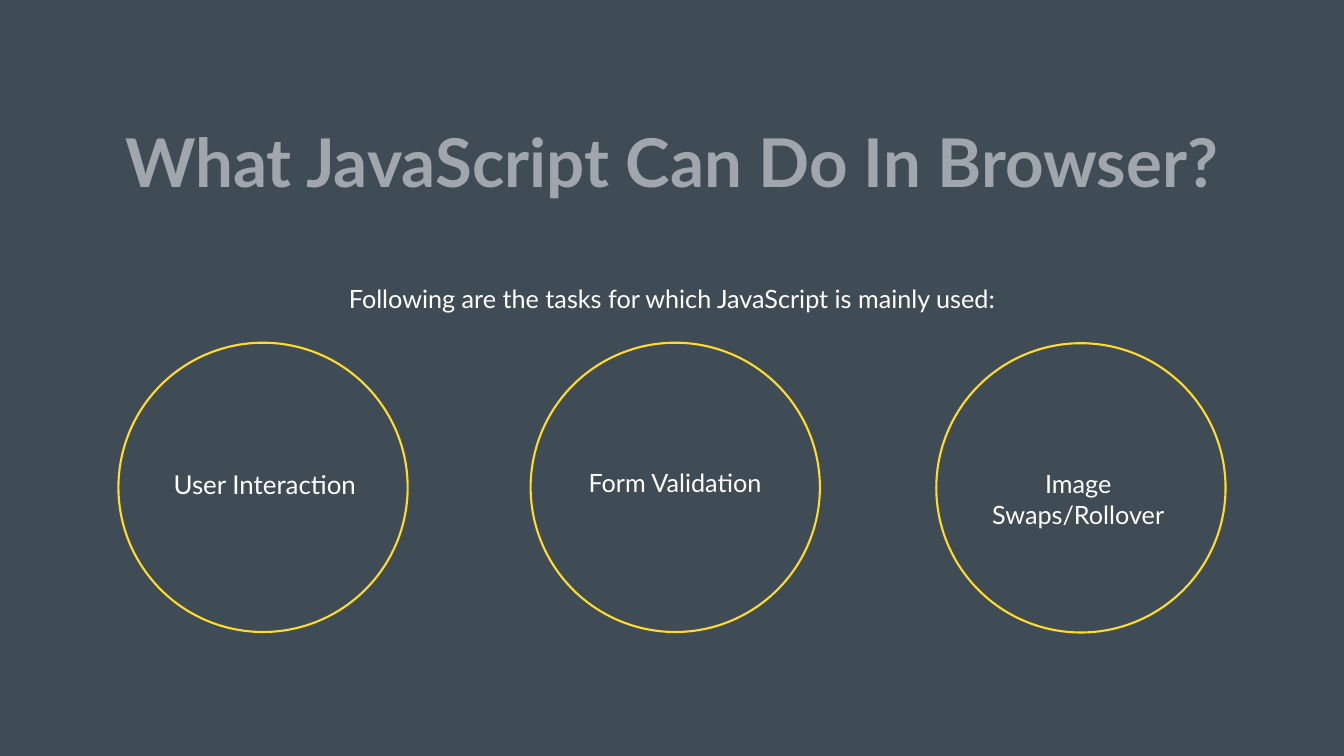
from pptx import Presentation
from pptx.dml.color import RGBColor
from pptx.enum.shapes import MSO_SHAPE
from pptx.enum.text import MSO_ANCHOR, MSO_AUTO_SIZE, PP_ALIGN
from pptx.util import Pt

EMU_PER_PX = 9144  # 100 px to the inch
SLIDE_WIDTH, SLIDE_HEIGHT = 2667, 1500
CIRCLE_SIZE = 574

BACKGROUND = "404C55"
TITLE_GREY = "A1A6AC"
WHITE = "FFFFFF"
YELLOW = "FFDB2C"

# circle left and top, label left, top and height, text, size, line spacing
TASKS = [
    ((235, 680), (301, 924, 63), "User Interaction", 37, 1.1),
    ((1053, 680), (1115, 927, 61), "Form Validation", 36, 1.0),
    ((1858, 681), (1915, 930, 121), "Image Swaps/Rollover", 36, 1.0),
]
LABEL_WIDTH = 449


def px(*lengths):
    return [length * EMU_PER_PX for length in lengths]


def color(value):
    return RGBColor.from_string(value)


class SlideBuilder:
    """Holds the style and the current slide."""

    font_name = "Lato"
    line_width = Pt(3)

    def __init__(self, slide):
        self.slide = slide

    def background(self, fill_color):
        fill = self.slide.background.fill
        fill.solid()
        fill.fore_color.rgb = color(fill_color)

    def text(self, box, content, size, text_color=WHITE, bold=False,
             margin=0, anchor=MSO_ANCHOR.TOP, line_spacing=1.0):
        frame = self.slide.shapes.add_textbox(*px(*box)).text_frame
        frame.word_wrap = True
        frame.auto_size = MSO_AUTO_SIZE.SHAPE_TO_FIT_TEXT
        frame.vertical_anchor = anchor
        frame.margin_left, frame.margin_top = px(margin, margin)
        frame.margin_right, frame.margin_bottom = px(margin, margin)
        paragraph = frame.paragraphs[0]
        paragraph.text = content
        paragraph.alignment = PP_ALIGN.CENTER
        paragraph.line_spacing = line_spacing
        paragraph.font.name = self.font_name
        paragraph.font.size = Pt(size)
        paragraph.font.bold = bold
        paragraph.font.color.rgb = color(text_color)

    def circle(self, left, top, size, line_color):
        shape = self.slide.shapes.add_shape(
            MSO_SHAPE.OVAL, *px(left, top, size, size))
        shape.shadow.inherit = False
        shape.fill.background()
        shape.line.color.rgb = color(line_color)
        shape.line.width = self.line_width


def main():
    presentation = Presentation()
    presentation.slide_width, presentation.slide_height = px(
        SLIDE_WIDTH, SLIDE_HEIGHT)
    builder = SlideBuilder(
        presentation.slides.add_slide(presentation.slide_layouts[6]))

    builder.background(BACKGROUND)
    builder.text((235, 149, 2196, 339), "What JavaScript Can Do In Browser?",
                 96, TITLE_GREY, bold=True, margin=8, anchor=MSO_ANCHOR.MIDDLE)
    builder.text((345, 554, 1977, 77),
                 "Following are the tasks for which JavaScript is mainly used:",
                 36, margin=8, anchor=MSO_ANCHOR.MIDDLE)
    for circle_at, (left, top, height), label, size, spacing in TASKS:
        builder.circle(*circle_at, CIRCLE_SIZE, YELLOW)
        builder.text((left, top, LABEL_WIDTH, height), label, size,
                     line_spacing=spacing)

    presentation.save("out.pptx")


if __name__ == "__main__":
    main()
